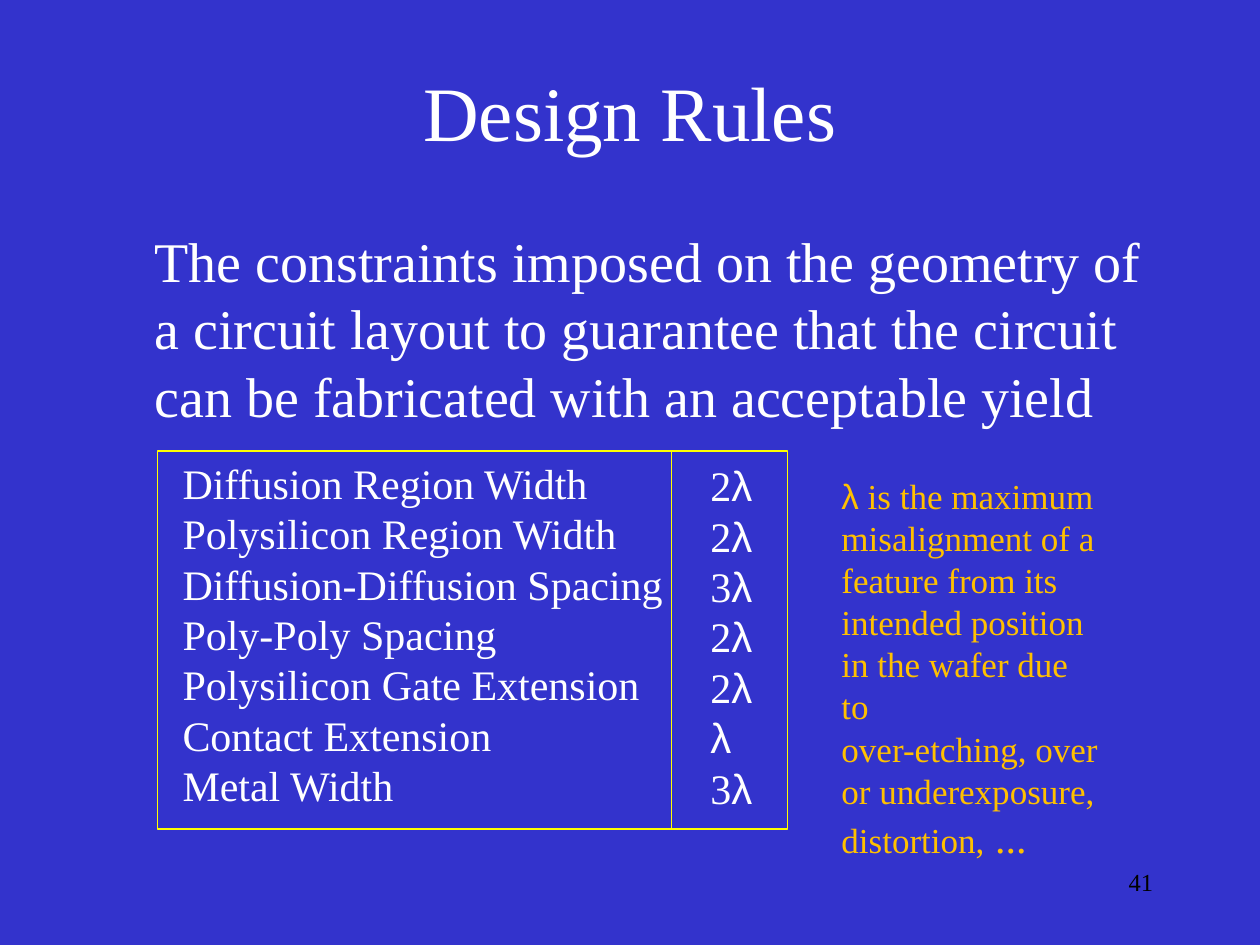
from dataclasses import dataclass
from itertools import groupby

from lxml.etree import SubElement
from pptx import Presentation
from pptx.dml.color import RGBColor
from pptx.enum.shapes import MSO_CONNECTOR, MSO_SHAPE
from pptx.enum.text import MSO_ANCHOR, MSO_AUTO_SIZE, PP_ALIGN
from pptx.oxml.ns import qn
from pptx.util import Inches, Pt

BLUE = RGBColor(0x33, 0x33, 0xCC)
WHITE = RGBColor(0xFF, 0xFF, 0xFF)
BLACK = RGBColor(0x00, 0x00, 0x00)
YELLOW = RGBColor(0xFF, 0xFF, 0x00)
AMBER = RGBColor(0xFF, 0xC0, 0x00)
SERIF = "Times New Roman"
LAMBDA_FONT = "Arial"
LINE_FACTOR = 1.2
RULE_WIDTH = Pt(0.75)

TABLE_LEFT, TABLE_TOP, TABLE_WIDTH, TABLE_HEIGHT = 1.25, 3.58, 5, 3
DIVIDER_X = 5.33

DESIGN_RULES = [
    ("Diffusion Region Width", "2λ"),
    ("Polysilicon Region Width", "2λ"),
    ("Diffusion-Diffusion Spacing", "3λ"),
    ("Poly-Poly Spacing", "2λ"),
    ("Polysilicon Gate Extension", "2λ"),
    ("Contact Extension", "λ"),
    ("Metal Width", "3λ"),
]
LAMBDA_NOTE = [
    "λ is the maximum",
    "misalignment of a",
    "feature from its",
    "intended position",
    "in the wafer due to",
    "over-etching, over",
    "or underexposure,",
    "distortion,",
]
DEFINITION = (
    "The constraints imposed on the geometry of a circuit layout to guarantee "
    "that the circuit can be fabricated with an acceptable yield"
)


@dataclass
class TextBlock:
    left: float
    top: float
    width: float
    height: float
    lines: list[str]
    size: int
    color: RGBColor = WHITE
    align: PP_ALIGN = PP_ALIGN.LEFT
    wrap: bool = False
    indent: float = 0


def add_lambda_runs(paragraph, line: str) -> None:
    """Add the line as runs, giving each λ its own font."""
    for is_lambda, letters in groupby(line, lambda letter: letter == "λ"):
        run = paragraph.add_run()
        run.text = "".join(letters)
        if is_lambda:
            run.font.name = LAMBDA_FONT


def add_text(slide, block: TextBlock):
    box = slide.shapes.add_textbox(
        Inches(block.left), Inches(block.top), Inches(block.width), Inches(block.height)
    )
    frame = box.text_frame
    frame.word_wrap = block.wrap
    frame.auto_size = MSO_AUTO_SIZE.NONE if block.wrap else MSO_AUTO_SIZE.SHAPE_TO_FIT_TEXT
    for index, line in enumerate(block.lines):
        paragraph = frame.add_paragraph() if index else frame.paragraphs[0]
        add_lambda_runs(paragraph, line)
        paragraph.alignment = block.align
        paragraph.line_spacing = Pt(block.size * LINE_FACTOR)
        paragraph.font.name = SERIF
        paragraph.font.size = Pt(block.size)
        paragraph.font.color.rgb = block.color
        if block.indent:
            paragraph._p.get_or_add_pPr().set("marL", str(Inches(block.indent)))
    return frame


def format_title(title) -> None:
    title.left, title.top = Inches(0.75), Inches(0.25)
    title.width, title.height = Inches(8.5), Inches(1.25)
    title.text_frame.text = "Design Rules"
    title.text_frame.vertical_anchor = MSO_ANCHOR.MIDDLE
    heading = title.text_frame.paragraphs[0]
    heading.alignment = PP_ALIGN.CENTER
    heading.font.name = SERIF
    heading.font.size = Pt(44)
    heading.font.color.rgb = WHITE


def add_table_frame(slide) -> None:
    divider = slide.shapes.add_connector(
        MSO_CONNECTOR.STRAIGHT,
        Inches(DIVIDER_X), Inches(TABLE_TOP),
        Inches(DIVIDER_X), Inches(TABLE_TOP + TABLE_HEIGHT),
    )
    SubElement(divider._element.spPr, qn("a:effectLst"))
    border = slide.shapes.add_shape(
        MSO_SHAPE.RECTANGLE,
        Inches(TABLE_LEFT), Inches(TABLE_TOP), Inches(TABLE_WIDTH), Inches(TABLE_HEIGHT),
    )
    border.shadow.inherit = False
    border.fill.background()
    for outline in (divider.line, border.line):
        outline.color.rgb = YELLOW
        outline.width = RULE_WIDTH


def main() -> None:
    presentation = Presentation()
    presentation.slide_width = Inches(10)
    presentation.slide_height = Inches(7.5)
    slide = presentation.slides.add_slide(presentation.slide_layouts[5])
    slide.background.fill.solid()
    slide.background.fill.fore_color.rgb = BLUE

    format_title(slide.shapes.title)
    add_text(slide, TextBlock(7.17, 6.83, 2.08, 0.5, ["41"], 14, BLACK, PP_ALIGN.RIGHT, True))
    add_text(slide, TextBlock(0.75, 1.75, 8.5, 1.83, [DEFINITION], 32, wrap=True, indent=0.38))

    add_table_frame(slide)
    names, values = (list(column) for column in zip(*DESIGN_RULES))
    add_text(slide, TextBlock(1.35, TABLE_TOP, 4.02, 2.9, names, 24))
    add_text(slide, TextBlock(5.54, 3.6, 0.55, 2.9, values, 24))

    note = add_text(slide, TextBlock(6.58, 3.72, 2.28, 2.84, LAMBDA_NOTE, 20, AMBER))
    last_line = note.paragraphs[-1]
    last_line.line_spacing = Pt(24 * LINE_FACTOR)
    ellipsis = last_line.add_run()
    ellipsis.text = " ..."
    ellipsis.font.size = Pt(24)

    presentation.save("out.pptx")


if __name__ == "__main__":
    main()
